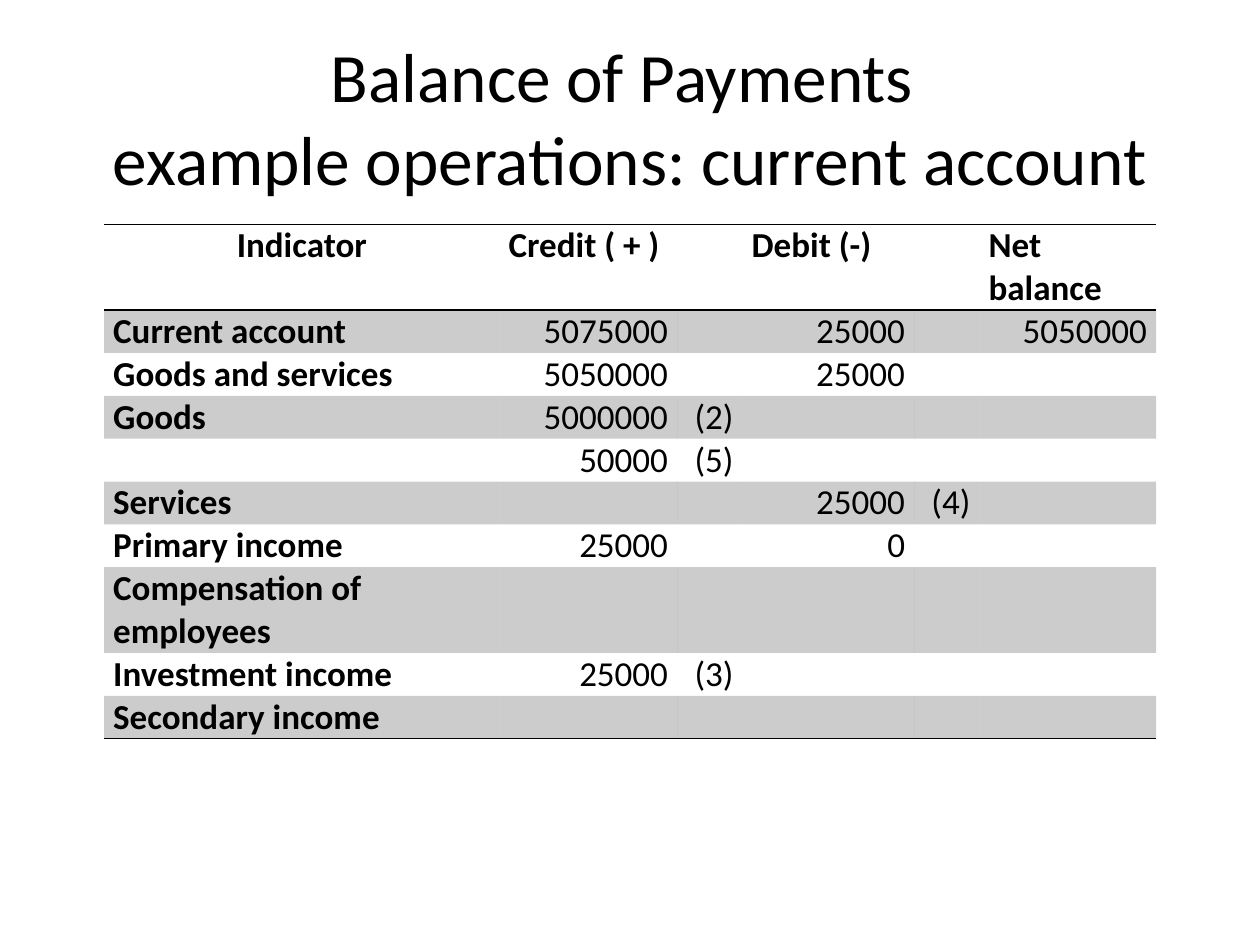
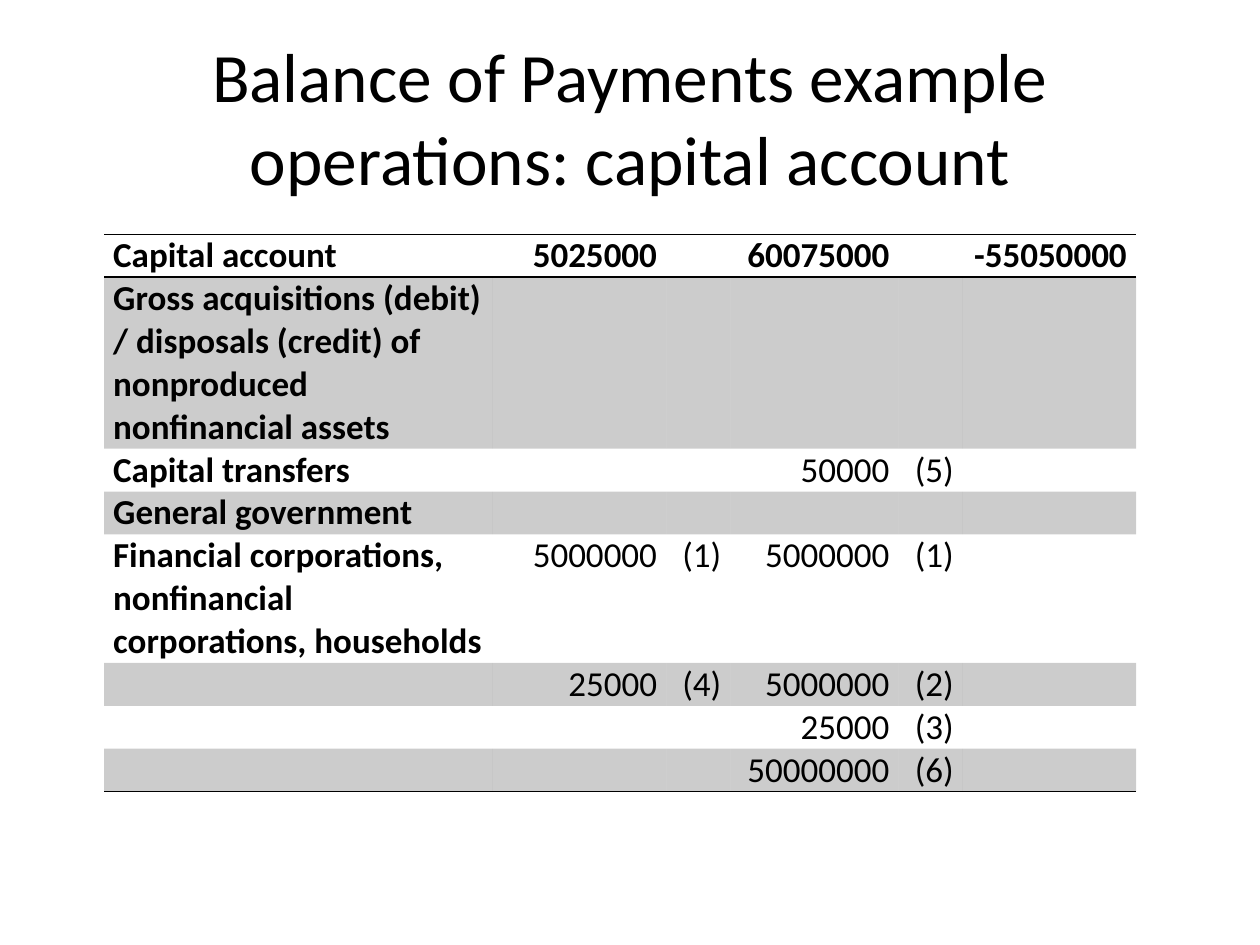
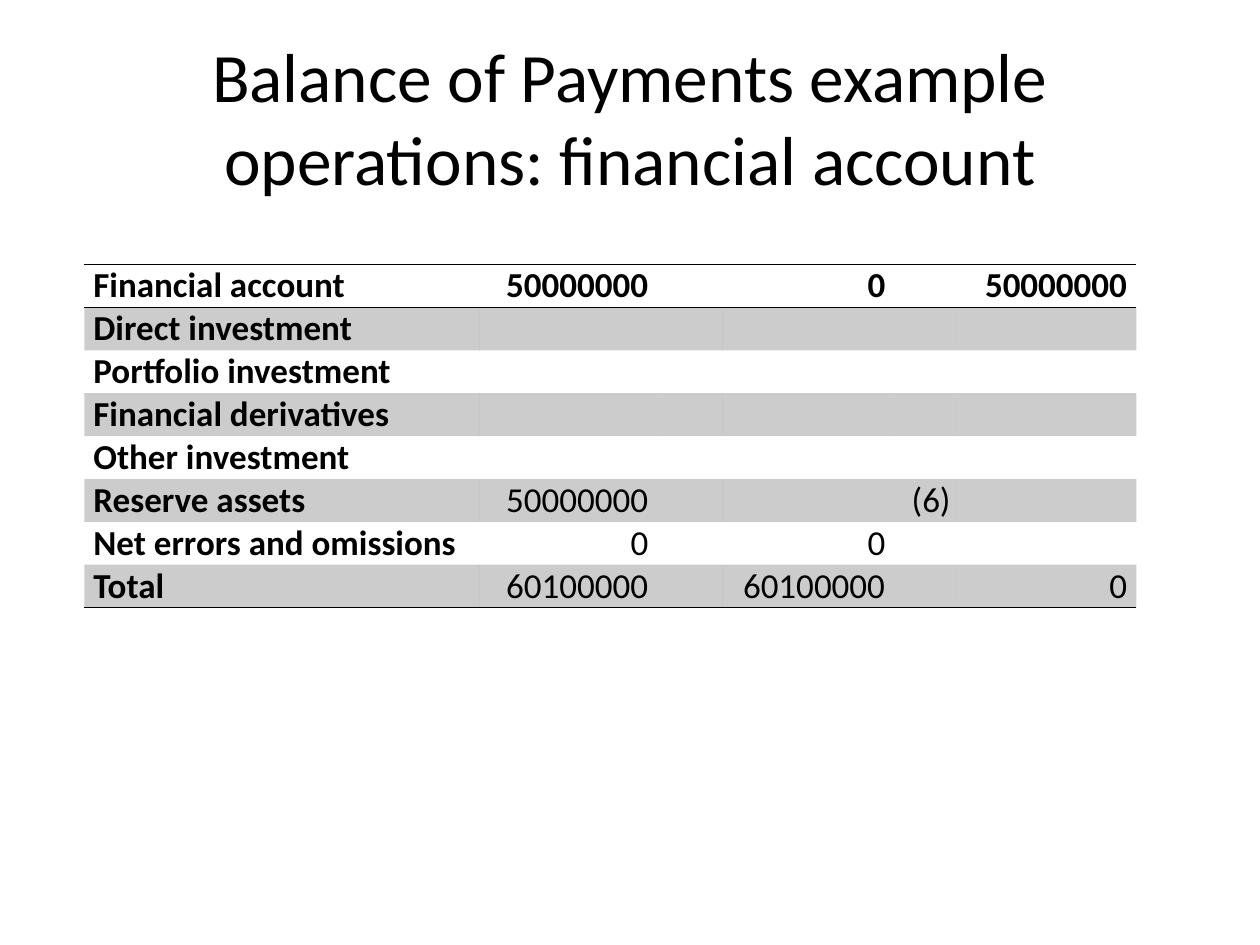
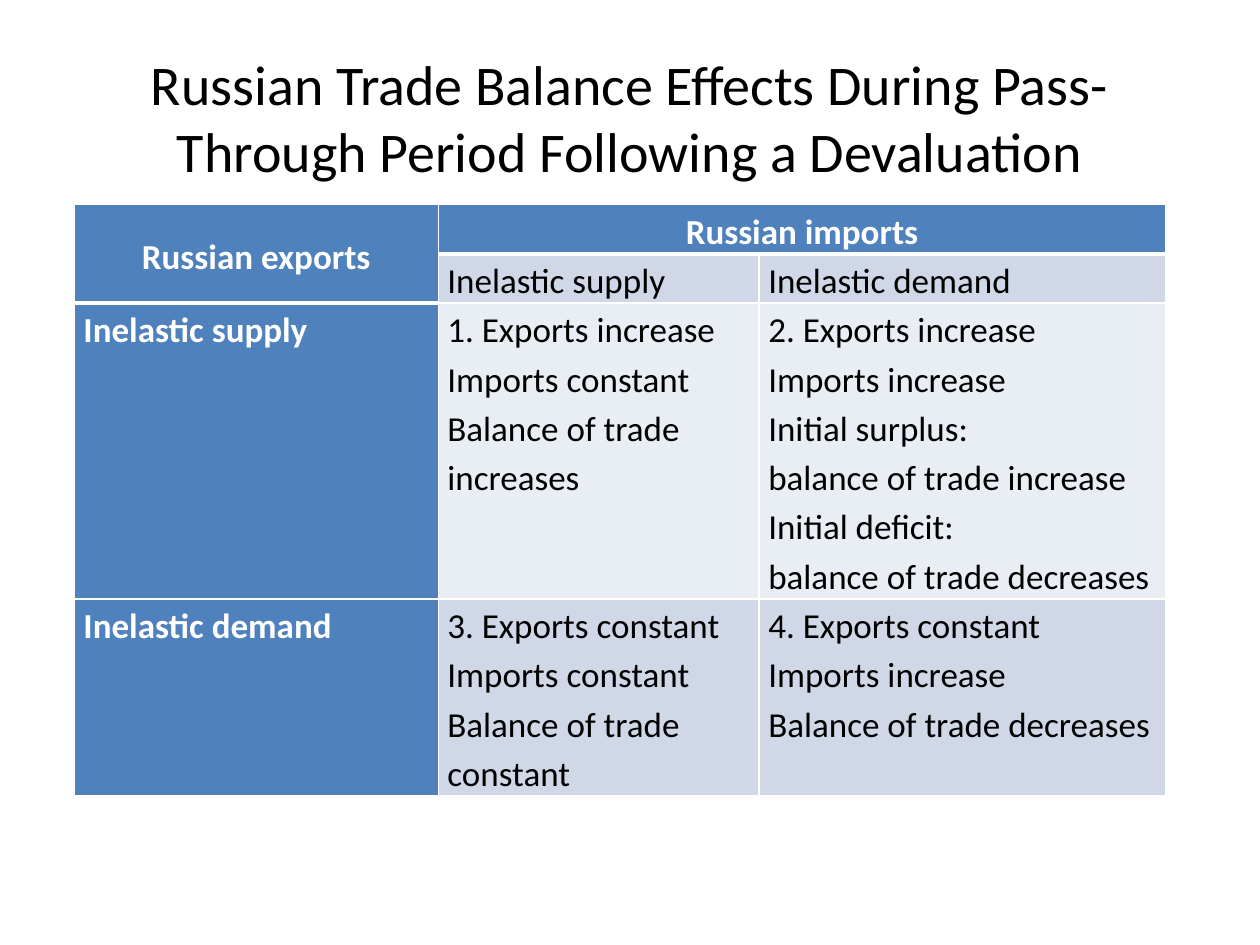
from lxml import etree
from pptx import Presentation
from pptx.dml.color import RGBColor
from pptx.enum import text
from pptx.oxml import ns
from pptx.util import Pt

BLACK = RGBColor(0x00, 0x00, 0x00)
WHITE = RGBColor(0xFF, 0xFF, 0xFF)
BLUE = RGBColor(0x4F, 0x81, 0xBD)
BAND = RGBColor(0xD0, 0xD8, 0xE8)
PALE = RGBColor(0xE9, 0xED, 0xF4)

FONT = "Calibri"
BODY_SIZE = 20
LINE = 24.5  # height of one table line
PLAIN_STYLE = "{2D5ABB26-0587-4C30-8999-92F81FD0307C}"
LEFT, CENTER, RIGHT = (text.PP_ALIGN.LEFT, text.PP_ALIGN.CENTER,
                       text.PP_ALIGN.RIGHT)

# Label, credit, credit note, debit, debit note, net balance
LEDGER_COLUMNS = (226, 101.5, 37.4, 98, 37.4, 100.9)


class Deck:
    """Shared style and the slide being built."""

    def __init__(self):
        self.deck = Presentation()
        self.deck.slide_width, self.deck.slide_height = Pt(720), Pt(540)
        self.page = None

    def add_page(self, *title_lines, size=39.6):
        self.page = self.deck.slides.add_slide(self.deck.slide_layouts[6])
        box = self.page.shapes.add_textbox(Pt(36), Pt(21.6), Pt(648), Pt(90))
        frame = box.text_frame
        frame.word_wrap = True
        frame.vertical_anchor = text.MSO_ANCHOR.MIDDLE
        para = frame.paragraphs[0]
        para.alignment = CENTER
        for index, line in enumerate(title_lines):
            if index:
                para.add_line_break()
            self.span(para, line, size, BLACK, False)

    def span(self, para, words, size, color, bold):
        span = para.add_run()
        span.text = words
        font = span.font
        font.name, font.size, font.bold = FONT, Pt(size), bold
        font.color.rgb = color

    def table(self, left, top, widths, heights):
        frame = self.page.shapes.add_table(
            len(heights), len(widths), Pt(left), Pt(top),
            Pt(sum(widths)), Pt(sum(heights)))
        table = frame.table
        table.first_row = table.horz_banding = False
        style = frame._element.find(".//" + ns.qn("a:tableStyleId"))
        style.text = PLAIN_STYLE
        for column, width in zip(table.columns, widths):
            column.width = Pt(width)
        for row, height in zip(table.rows, heights):
            row.height = Pt(height)
        return table

    def cell(self, cell, lines, color=BLACK, bold=False, align=LEFT,
             spacing=None):
        cell.margin_left = cell.margin_right = Pt(5.2)
        cell.margin_top = cell.margin_bottom = 0
        frame = cell.text_frame
        for index, line in enumerate(lines):
            para = frame.add_paragraph() if index else frame.paragraphs[0]
            para.alignment = align
            para.line_spacing = spacing
            self.span(para, line, BODY_SIZE, color, bold)

    def borders(self, cell, color, **widths):
        """Draw sides L, R, T, B, given in that order, before any fill."""
        props = cell._tc.get_or_add_tcPr()
        for side, width in widths.items():
            line = etree.SubElement(props, ns.qn("a:ln" + side),
                                    w=str(Pt(width)))
            fill = etree.SubElement(line, ns.qn("a:solidFill"))
            etree.SubElement(fill, ns.qn("a:srgbClr"), val=str(color))

    def fill(self, cell, color, opacity=100):
        cell.fill.solid()
        cell.fill.fore_color.rgb = color
        if opacity < 100:
            # The cell's own fill is a direct child; border fills lie deeper
            solid = cell._tc.tcPr.find(ns.qn("a:solidFill"))
            etree.SubElement(solid[0], ns.qn("a:alpha"),
                             val=str(opacity * 1000))

    def ledger(self, left, top, rows, wrapped=None, width=601.2):
        """Accounts table: ruled head, grey odd rows, figures on the right."""
        wrapped = wrapped or {}
        scale = width / sum(LEDGER_COLUMNS)
        table = self.table(left, top, [w * scale for w in LEDGER_COLUMNS],
                           [LINE * wrapped.get(r, 1)
                            for r in range(len(rows))])
        for r, row in enumerate(rows):
            for c, words in enumerate(row):
                cell = table.cell(r, c)
                if any(ch.isdigit() for ch in words):
                    align = RIGHT
                else:
                    align = CENTER if words == "Indicator" else LEFT
                self.cell(cell, [words] if words else [],
                          bold=r == 0 or c == 0, align=align)
                if r == 0:
                    self.borders(cell, BLACK, T=1, B=1)
                elif r == len(rows) - 1:
                    self.borders(cell, BLACK, B=1)
                if r % 2:
                    self.fill(cell, BLACK, opacity=20)

    def matrix(self, left, top, widths, rows, line_counts):
        """Blue first row and column, white grid, pale bands."""
        spacing = 1.15
        table = self.table(left, top, widths,
                           [LINE * spacing * n for n in line_counts])
        for r, row in enumerate(rows):
            for c, lines in enumerate(row):
                cell = table.cell(r, c)
                head = r == 0 or c == 0
                self.cell(cell, lines, WHITE if head else BLACK, head,
                          CENTER if r == 0 else LEFT, spacing)
                heavy = r == 0 or (r, c) == (1, 0)
                self.borders(cell, WHITE, L=1, R=1, T=1, B=3 if heavy else 1)
                self.fill(cell, BLUE if head else BAND if r % 2 else PALE)
        for first, last in (((0, 0), (1, 0)), ((0, 1), (0, 2))):
            corner = table.cell(*first)
            corner.merge(table.cell(*last))
            corner.vertical_anchor = text.MSO_ANCHOR.MIDDLE


def main():
    deck = Deck()

    # Current account
    deck.add_page("Balance of Payments ",
                  "example operations: current account")
    deck.ledger(59.5, 128.2, [
        ("Indicator", "Credit ( + )", "", "Debit (-)", "", "Net balance"),
        ("Current account", "5075000", "", "25000", "", "5050000"),
        ("Goods and services", "5050000", "", "25000", "", ""),
        ("Goods", "5000000", "(2)", "", "", ""),
        ("", "50000", "(5)", "", "", ""),
        ("Services", "", "", "25000", "(4)", ""),
        ("Primary income", "25000", "", "0", "", ""),
        ("Compensation of employees", "", "", "", "", ""),
        ("Investment income", "25000", "(3)", "", "", ""),
        ("Secondary income", "", "", "", "", ""),
    ], wrapped={0: 2, 7: 2})

    # Capital account
    deck.add_page("Balance of Payments example operations: capital account")
    deck.ledger(59.5, 133.9, [
        ("Capital account", "5025000", "", "60075000", "", "-55050000"),
        ("Gross acquisitions (debit) / disposals (credit) of nonproduced "
         "nonfinancial assets", "", "", "", "", ""),
        ("Capital transfers", "", "", "50000", "(5)", ""),
        ("General government", "", "", "", "", ""),
        ("Financial corporations, nonfinancial corporations, households",
         "5000000", "(1)", "5000000", "(1)", ""),
        ("", "25000", "(4)", "5000000", "(2)", ""),
        ("", "", "", "25000", "(3)", ""),
        ("", "", "", "50000000", "(6)", ""),
    ], wrapped={1: 4, 4: 3}, width=589.7)

    # Financial account
    deck.add_page("Balance of Payments example operations: financial account")
    deck.ledger(48.2, 151.2, [
        ("Financial account", "50000000", "", "0", "", "50000000"),
        ("Direct investment", "", "", "", "", ""),
        ("Portfolio investment", "", "", "", "", ""),
        ("Financial derivatives", "", "", "", "", ""),
        ("Other investment", "", "", "", "", ""),
        ("Reserve assets", "50000000", "", "", "(6)", ""),
        ("Net errors and omissions", "0", "", "0", "", ""),
        ("Total", "60100000", "", "60100000", "", "0"),
    ])

    # Trade balance after a devaluation
    deck.add_page("Russian Trade Balance Effects During Pass-Through Period "
                  "Following a Devaluation", size=32)
    supply, demand = ["Inelastic supply"], ["Inelastic demand"]
    deck.matrix(42.5, 116.9, (208, 183.4, 232.4), [
        (["Russian exports"], ["Russian imports"], []),
        ([], supply, demand),
        (supply,
         ["1. Exports increase", "Imports constant",
          "Balance of trade increases"],
         ["2. Exports increase", "Imports increase", "Initial surplus:",
          "balance of trade increase", "Initial deficit:",
          "balance of trade decreases"]),
        (demand,
         ["3. Exports constant", "Imports constant",
          "Balance of trade constant"],
         ["4. Exports constant", "Imports increase",
          "Balance of trade decreases"]),
    ], line_counts=(1, 1, 6, 4))

    deck.deck.save("out.pptx")


if __name__ == "__main__":
    main()
